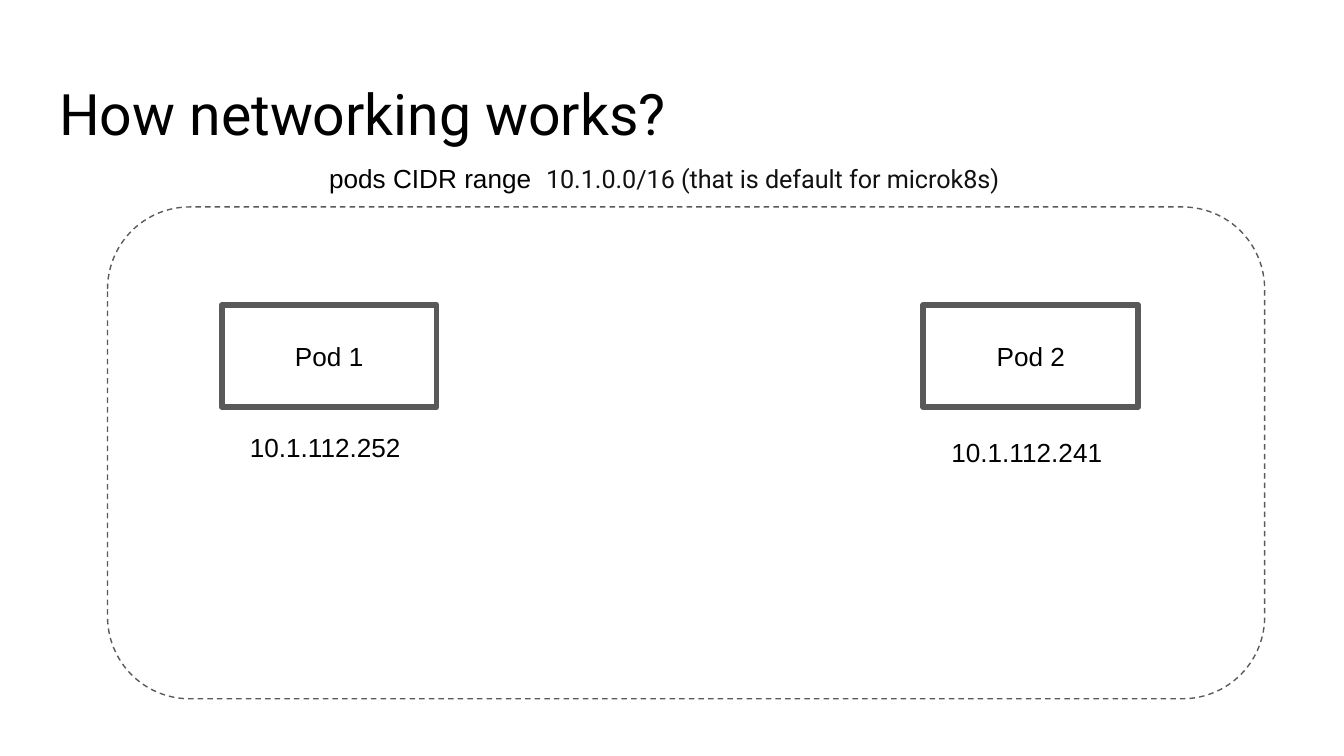
from pptx import Presentation
from pptx.dml.color import RGBColor
from pptx.enum.dml import MSO_LINE
from pptx.enum.shapes import MSO_SHAPE
from pptx.enum.text import MSO_ANCHOR, MSO_AUTO_SIZE, PP_ALIGN
from pptx.oxml.ns import qn
from pptx.util import Inches, Pt
from lxml import etree

DASH = MSO_LINE.DASH
RECTANGLE = MSO_SHAPE.RECTANGLE
ROUNDED = MSO_SHAPE.ROUNDED_RECTANGLE
TOP, MIDDLE = MSO_ANCHOR.TOP, MSO_ANCHOR.MIDDLE
LEFT, CENTER = PP_ALIGN.LEFT, PP_ALIGN.CENTER
NO_AUTOFIT = MSO_AUTO_SIZE.NONE
TITLE_ONLY = 5

WIDTH = 10
HEIGHT = WIDTH * 9 / 16
MARGIN = 0.34
INSET = 0.1
LABEL_HEIGHT = 0.44
BLACK, NEAR_BLACK, GREY = "000000", "111111", "595959"
PODS = [
    ("Pod 1", "10.1.112.252", 1.65, 0.84),
    ("Pod 2", "10.1.112.241", 6.87, 0.88),
]


def colour(code):
    return RGBColor.from_string(code)


def inches(box):
    return [Inches(length) for length in box]


def write(holder, runs, align=LEFT, anchor=TOP):
    frame = holder.text_frame
    frame.word_wrap = True
    frame.auto_size = NO_AUTOFIT
    frame.vertical_anchor = anchor
    frame.margin_left = frame.margin_right = Inches(INSET)
    frame.margin_top = frame.margin_bottom = Inches(INSET)
    paragraph = frame.paragraphs[0]
    paragraph.alignment = align
    paragraph.line_spacing = 1.0
    paragraph.space_before = Pt(0)
    for words, size, font, code in runs:
        run = paragraph.add_run()
        run.text = words
        run.font.size = Pt(size)
        run.font.name = font
        run.font.color.rgb = colour(code)


def add_label(slide, box, runs):
    write(slide.shapes.add_textbox(*inches(box)), runs)


def add_outline(slide, kind, box, weight):
    outline = slide.shapes.add_shape(kind, *inches(box))
    outline.shadow.inherit = False
    outline.fill.background()
    outline.line.color.rgb = colour(GREY)
    outline.line.width = Pt(weight)
    return outline


def place_title(slide, box):
    title = slide.shapes.title
    title.left, title.top, title.width, title.height = inches(box)
    write(title, [("How networking works?", 30.6, "Roboto", BLACK)])


def place_network(slide, box):
    left, top, width, height = box
    network = add_outline(slide, ROUNDED, box, 0.75)
    network.adjustments[0] = 0.167
    network.line.dash_style = DASH
    add_label(slide, (left + 0.18 * width, top - 0.43, 5.29, LABEL_HEIGHT), [
        ("pods CIDR range  ", 14, "Arial", BLACK),
        ("10.1.0.0/16 (that is default for microk8s)", 13.5, "Roboto", NEAR_BLACK),
    ])


def place_pod(slide, box, name, address, address_drop):
    left, top, width, height = box
    pod = add_outline(slide, RECTANGLE, box, 3)
    border = pod.element.spPr.find(qn("a:ln"))
    etree.SubElement(border, qn("a:round"))
    write(pod, [(name, 14, "Arial", BLACK)], CENTER, MIDDLE)
    address_width = 1.38
    address_left = left + (width - address_width) / 2
    add_label(slide, (address_left, top + address_drop, address_width, LABEL_HEIGHT),
              [(address, 14, "Arial", BLACK)])


def main():
    deck = Presentation()
    deck.slide_width, deck.slide_height = inches((WIDTH, HEIGHT))
    slide = deck.slides.add_slide(deck.slide_layouts[TITLE_ONLY])
    place_title(slide, (MARGIN, 0.48, WIDTH - 2 * MARGIN, 0.63))
    place_network(slide, (0.8, 1.54, 8.61, 3.66))
    for name, address, left, address_drop in PODS:
        place_pod(slide, (left, 2.27, 1.6, 0.76), name, address, address_drop)
    deck.save("out.pptx")


if __name__ == "__main__":
    main()
